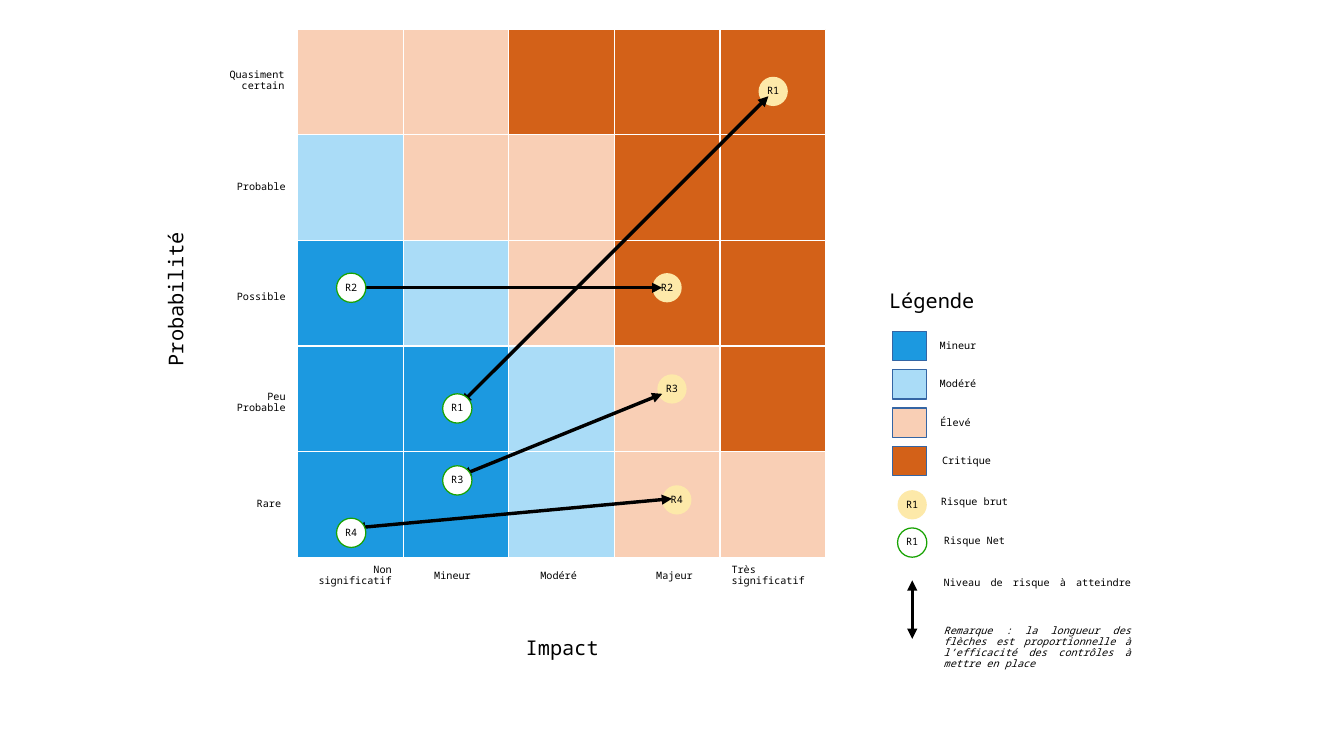
from lxml.etree import SubElement
from pptx import Presentation
from pptx.dml.color import RGBColor
from pptx.enum.shapes import MSO_CONNECTOR as Connector, MSO_SHAPE as Shape
from pptx.enum.text import MSO_ANCHOR as Anchor, PP_ALIGN as Align
from pptx.oxml.ns import qn
from pptx.util import Inches, Pt

BLACK = RGBColor(0x00, 0x00, 0x00)
WHITE = RGBColor(0xFF, 0xFF, 0xFF)
MINOR = RGBColor(0x1C, 0x99, 0xE0)
MODERATE = RGBColor(0xAA, 0xDC, 0xF7)
HIGH = RGBColor(0xF9, 0xCF, 0xB5)
CRITICAL = RGBColor(0xD3, 0x61, 0x18)
GROSS = RGBColor(0xFD, 0xE9, 0xA9)
NET_EDGE = RGBColor(0x18, 0xA3, 0x03)
SWATCH_EDGE = RGBColor(0x34, 0x65, 0xA4)

LEVELS = [MINOR, MODERATE, HIGH, CRITICAL]
MATRIX = ["22333", "12233", "01233", "00123", "00122"]
MATRIX_LEFT, MATRIX_TOP, MATRIX_SIDE = 2.44, 0.24, 4.33
LEGEND_TOP, LEGEND_STEP = 2.72, 0.94 / 3
DISC = 0.24

IMPACTS = [
    ("Non\nsignificatif", 2.44, 0.87, Align.RIGHT),
    ("Mineur", 3.45, 0.52, Align.CENTER),
    ("Modéré", 4.32, 0.52, Align.CENTER),
    ("Majeur", 5.27, 0.52, Align.CENTER),
    ("Très\nsignificatif", 5.9, 0.84, Align.LEFT),
]
PROBABILITIES = [
    ("Quasiment\ncertain", 1.72, 0.51, 0.71, Align.RIGHT),
    ("Probable", 1.84, 1.38, 0.6, Align.RIGHT),
    ("Possible", 1.84, 2.28, 0.6, Align.RIGHT),
    ("Peu\nProbable", 1.84, 3.15, 0.6, Align.RIGHT),
    ("Rare", 1.97, 3.98, 0.47, Align.CENTER),
]
RISKS = [
    ("R1", (6.22, 0.63), (3.63, 3.23), (6.3, 0.79), (3.78, 3.31)),
    ("R2", (5.35, 2.24), (2.76, 2.24), (5.43, 2.36), (2.91, 2.36)),
    ("R3", (5.39, 3.07), (3.63, 3.82), (5.43, 3.23), (3.78, 3.9)),
    ("R4", (5.43, 3.98), (2.76, 4.25), (5.51, 4.09), (2.91, 4.33)),
]
LEGEND_LABELS = [
    ("Mineur", 7.6, 2.72, 0.51),
    ("Modéré", 7.6, 3.03, 0.51),
    ("Élevé", 7.6, 3.35, 0.47),
    ("Critique", 7.59, 3.66, 0.67),
    ("Risque brut", 7.6, 4, 0.78),
    ("Risque Net", 7.6, 4.32, 0.78),
]


class RiskMap:
    """Draws the parts of a risk matrix in one style on one slide."""

    font = "Noto Sans Mono"
    small, large = 6, 12

    def __init__(self, slide):
        self.shapes = slide.shapes

    def add_words(self, paragraph, words, size, align, italic=False):
        paragraph.alignment = align
        paragraph.line_spacing = 0.9
        for index, line in enumerate(words.split("\n")):
            if index:
                paragraph.add_line_break()
            if line:
                run = paragraph.add_run()
                run.text = line
                run.font.name = self.font
                run.font.size = Pt(size)
                run.font.italic = italic
                run.font.color.rgb = BLACK

    def block(self, kind, left, top, width, height, fill, edge=None):
        block = self.shapes.add_shape(
            kind, Inches(left), Inches(top), Inches(width), Inches(height))
        block.shadow.inherit = False
        block.fill.solid()
        block.fill.fore_color.rgb = fill
        if edge is None:
            block.line.fill.background()
        else:
            block.line.color.rgb = edge
            block.line.width = Pt(0)
        return block

    def disc(self, name, left, top, fill, edge=None):
        frame = self.block(Shape.OVAL, left, top, DISC, DISC, fill, edge).text_frame
        frame.margin_left = frame.margin_right = 0
        frame.margin_top = frame.margin_bottom = 0
        frame.word_wrap = False
        frame.vertical_anchor = Anchor.MIDDLE
        self.add_words(frame.paragraphs[0], name, self.small, Align.CENTER)

    def gross(self, name, left, top):
        self.disc(name, left, top, GROSS)

    def net(self, name, left, top):
        self.disc(name, left, top, WHITE, NET_EDGE)

    def label(self, words, left, top, width, height=0.31,
              align=Align.CENTER, size=small, rotation=0):
        label = self.shapes.add_textbox(
            Inches(left), Inches(top), Inches(width), Inches(height))
        label.rotation = rotation
        frame = label.text_frame
        frame.word_wrap = True
        frame.vertical_anchor = Anchor.MIDDLE
        self.add_words(frame.paragraphs[0], words, size, align)
        return frame

    def arrow(self, start, end):
        arrow = self.shapes.add_connector(
            Connector.STRAIGHT, *(Inches(value) for value in (*start, *end)))
        arrow.line.color.rgb = BLACK
        arrow.line.width = Pt(0)
        properties = arrow.element.spPr
        outline = properties.find(qn("a:ln"))
        for tip in ("a:headEnd", "a:tailEnd"):
            SubElement(outline, qn(tip), type="triangle")
        SubElement(properties, qn("a:effectLst"))


def draw_matrix(board):
    side = MATRIX_SIDE / len(MATRIX)
    for row, levels in enumerate(MATRIX):
        for column, level in enumerate(levels):
            board.block(Shape.RECTANGLE, MATRIX_LEFT + column * side,
                        MATRIX_TOP + row * side, side, side,
                        LEVELS[int(level)], WHITE)
    for words, left, width, align in IMPACTS:
        board.label(words, left, 4.57, width, align=align)
    for words, left, top, width, align in PROBABILITIES:
        board.label(words, left, top, width, align=align)
    board.label("Impact", 3.9, 5.17, 1.42, size=board.large)
    board.label("Probabilité", 0.74, 2.3, 1.42, size=board.large, rotation=270)


def draw_risks(board):
    for name, gross, net, start, end in RISKS:
        board.gross(name, *gross)
        board.arrow(start, end)
        board.net(name, *net)


def draw_legend(board):
    board.label("Légende", 7.17, 2.32, 0.94, size=board.large)
    for index, level in enumerate(LEVELS):
        board.block(Shape.RECTANGLE, 7.32, LEGEND_TOP + index * LEGEND_STEP,
                    0.28, 0.24, level, SWATCH_EDGE)
    for words, left, top, width in LEGEND_LABELS:
        board.label(words, left, top, width, 0.24)
    board.gross("R1", 7.36, 4.02)
    board.net("R1", 7.36, 4.33)
    board.arrow((7.48, 5.24), (7.48, 4.76))
    target = board.label("Niveau de risque à atteindre\n", 7.64, 4.84, 1.73, 0.55,
                         Align.JUSTIFY)
    board.add_words(target.add_paragraph(),
                    "Remarque : la longueur des flèches est proportionnelle à "
                    "l’efficacité des contrôles à mettre en place",
                    board.small, Align.JUSTIFY, italic=True)


def main():
    deck = Presentation()
    deck.slide_width, deck.slide_height = Inches(11.02), Inches(6.2)
    board = RiskMap(deck.slides.add_slide(deck.slide_layouts[6]))
    draw_matrix(board)
    draw_risks(board)
    draw_legend(board)
    deck.save("out.pptx")


if __name__ == "__main__":
    main()
